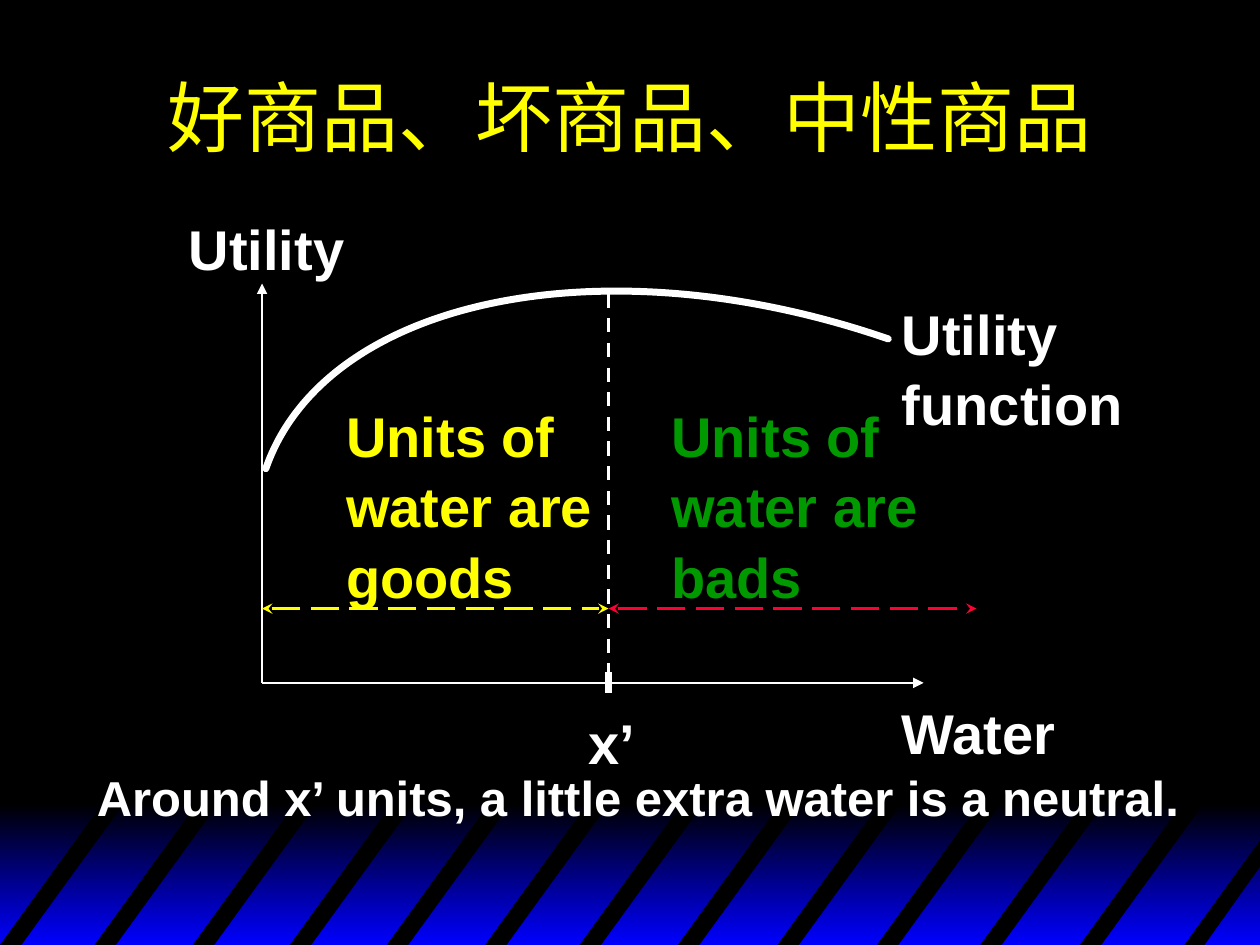
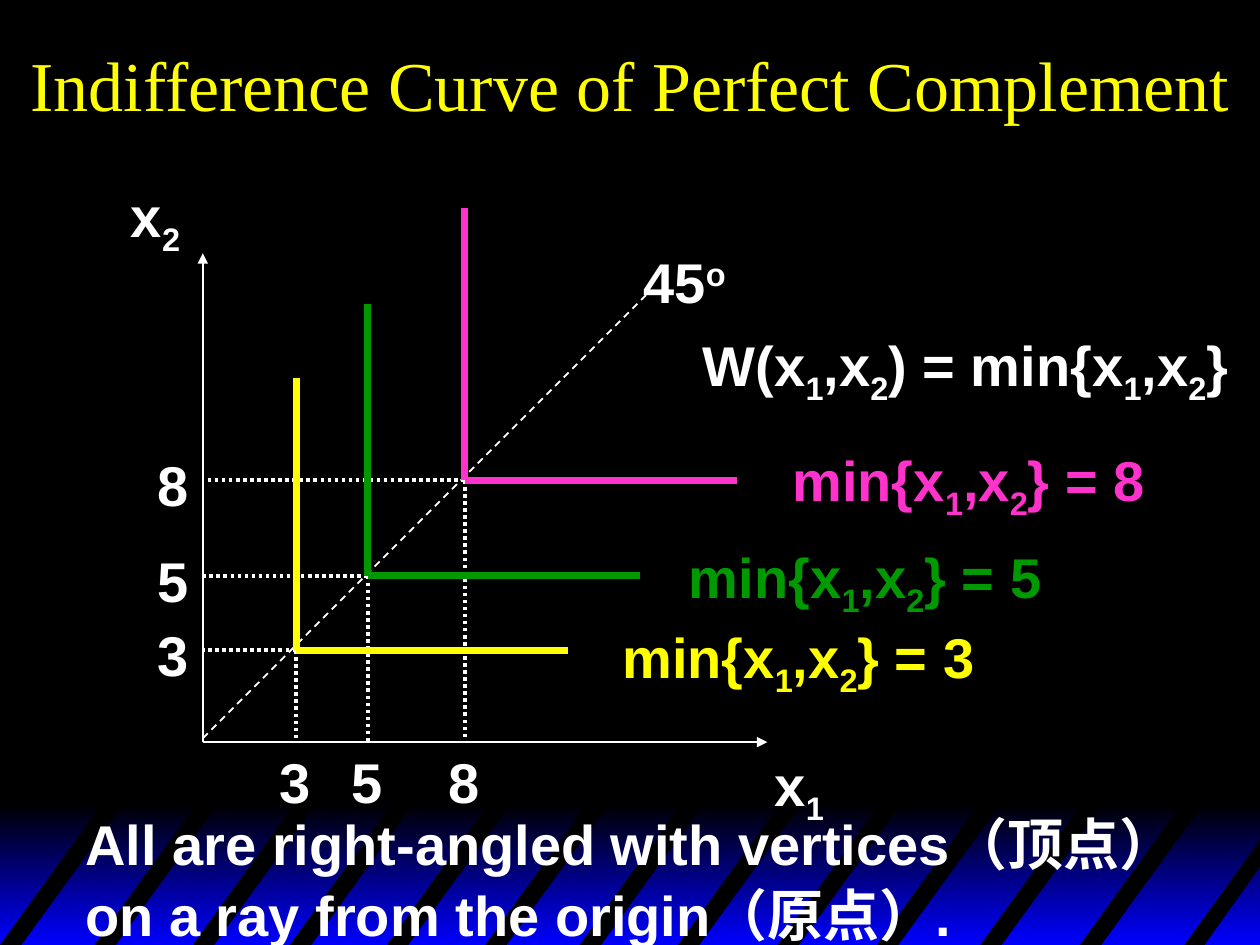
from lxml import etree
from pptx import Presentation
from pptx.dml.color import RGBColor
from pptx.enum.dml import MSO_LINE
from pptx.enum.shapes import MSO_CONNECTOR, MSO_SHAPE
from pptx.enum.text import MSO_ANCHOR, MSO_AUTO_SIZE, PP_ALIGN
from pptx.oxml.ns import qn
from pptx.util import Inches, Pt

BLACK = RGBColor(0x00, 0x00, 0x00)
BLUE = RGBColor(0x00, 0x00, 0xFF)
WHITE = RGBColor(0xFF, 0xFF, 0xFF)
YELLOW = RGBColor(0xFF, 0xFF, 0x00)
GREEN = RGBColor(0x00, 0x99, 0x00)
RED = RGBColor(0xFF, 0x00, 0x33)
PINK = RGBColor(0xFF, 0x33, 0xCC)
DASH, LONG, DOT = MSO_LINE.DASH, MSO_LINE.LONG_DASH, MSO_LINE.ROUND_DOT
STRAIGHT, RECT = MSO_CONNECTOR.STRAIGHT, MSO_SHAPE.RECTANGLE
MIDDLE, CENTER = MSO_ANCHOR.MIDDLE, PP_ALIGN.CENTER
FIT, FIXED = MSO_AUTO_SIZE.SHAPE_TO_FIT_TEXT, MSO_AUTO_SIZE.NONE
SUB, SUP = -25000, 30000

# Striped band at the foot of every slide
BAND_TOP, FOOT = 6.34, 7.5
STRIPES = [0, 0.75, 1.53, 2.3, 3.07, 3.85, 4.6, 5.38, 6.17, 6.96, 7.78, 8.57]
LEAN, THICK = 0.84, 0.17
CORNER = [(9.4, FOOT), (10, 6.67), (10, 6.88), (9.56, FOOT)]

# Slide 1: labels are (runs, left, top, width, height, colour)
GOODS_TITLE = "好商品、坏商品、中性商品"
GOODS_TEXT = [
    ("Utility", 1.4, 1.63, 1.44, 0.63, WHITE),
    ("Water", 7.06, 5.47, 1.44, 0.63, WHITE),
    ("x’", 4.57, 5.55, 0.57, 0.63, WHITE),
    ("Units of\nwater are\ngoods", 2.65, 3.11, 2.16, 1.7, YELLOW),
    ("Units of\nwater are\nbads", 5.23, 3.11, 2.16, 1.7, GREEN),
    ("Utility\nfunction", 7.06, 2.3, 1.96, 1.17, WHITE),
]
GOODS_NOTE = "Around x’ units, a little extra water is a neutral."
CURVE = [(2.11, 3.72), (2.58, 2.37), (4.79, 1.91), (7.05, 2.69)]
PEAK = 4.83

# Slide 2: each level is (value, x, y, colour, label left, label top)
MIN_TITLE = "Indifference Curve of Perfect Complement"
LEVELS = [
    ("8", 3.69, 3.81, PINK, 6.19, 3.46),
    ("5", 2.92, 4.57, GREEN, 5.37, 4.23),
    ("3", 2.35, 5.16, YELLOW, 4.84, 4.86),
]
ARM = 2.16
PAIR = [("1", SUB), (",x", 0), ("2", SUB)]
MIN_TEXT = [
    ([("x", 0), ("2", SUB)], 0.94, 1.36, 0.59, 0.71, WHITE),
    ([("x", 0), ("1", SUB)], 6.05, 5.88, 0.59, 0.71, WHITE),
    ([("45", 0), ("o", SUP)], 5.01, 1.89, 0.85, 0.63, WHITE),
    ([("W(x", 0), *PAIR, (") = min{x", 0), *PAIR, ("}", 0)],
     5.48, 2.54, 4.37, 0.71, WHITE),
]
MIN_NOTE = "All are right-angled with vertices（顶点） on a ray from the origin（原点）."


def style(font, size, color, name="Arial", bold=True):
    font.name, font.size, font.bold = name, Pt(size), bold
    font.color.rgb = color


def label(slide, runs, x, y, w, h, color, size=32, wrap=False):
    box = slide.shapes.add_textbox(Inches(x), Inches(y), Inches(w), Inches(h))
    frame = box.text_frame
    frame.word_wrap, frame.auto_size = wrap, FIT
    para = frame.paragraphs[0]
    para.line_spacing = 1.05
    for text, base in [(runs, 0)] if isinstance(runs, str) else runs:
        for i, part in enumerate(text.split("\n")):
            if i:
                para.add_line_break()
            run = para.add_run()
            run.text = part
            style(run.font, size, color)
            if base:
                run._r.get_or_add_rPr().set("baseline", str(base))


def line(slide, x1, y1, x2, y2, color=WHITE, width=1, dash=None, head=None, tail=None):
    link = slide.shapes.add_connector(
        STRAIGHT, Inches(x1), Inches(y1), Inches(x2), Inches(y2))
    link.line.color.rgb, link.line.width = color, Pt(width)
    if dash:
        link.line.dash_style = dash
    for tag, kind in (("a:headEnd", head), ("a:tailEnd", tail)):
        if kind:
            etree.SubElement(link.line._get_or_add_ln(), qn(tag), type=kind)
    etree.SubElement(link._element.spPr, qn("a:effectLst"))


def axes(slide, x, top, base, right):
    line(slide, x, top, x, base, head="triangle")
    line(slide, x, base, right, base, tail="triangle")


def outline(shapes, points, close):
    spots = [(Inches(x), Inches(y)) for x, y in points]
    pen = shapes.build_freeform(*spots[0])
    pen.add_line_segments(spots[1:], close=close)
    shape = pen.convert_to_shape()
    shape.shadow.inherit = False
    return shape


def add_band(slide, layout):
    group = slide.shapes.add_group_shape()
    back = group.shapes.add_shape(
        RECT, 0, Inches(6.38), Inches(10), Inches(FOOT - 6.38))
    back.shadow.inherit = False
    back.line.fill.background()
    back.fill.gradient()
    back.fill.gradient_angle = 270
    for stop, color, place in zip(back.fill.gradient_stops, (BLACK, BLUE), (0, 1)):
        stop.color.rgb, stop.position = color, place
    bars = [[(x, FOOT), (x + LEAN, BAND_TOP), (x + LEAN + THICK, BAND_TOP),
             (x + THICK, FOOT)] for x in STRIPES]
    for points in bars + [CORNER]:
        bar = outline(group.shapes, points, True)
        bar.fill.solid()
        bar.fill.fore_color.rgb = BLACK
        bar.line.fill.background()
    # The layout holds the band, behind its placeholders
    layout.shapes.element.insert(2, group._element)


def add_title(slide, text, x, y, w, h, size):
    title = slide.shapes.title
    title.left, title.top = Inches(x), Inches(y)
    title.width, title.height = Inches(w), Inches(h)
    frame = title.text_frame
    frame.vertical_anchor, frame.auto_size = MIDDLE, FIXED
    para = frame.paragraphs[0]
    para.alignment = CENTER
    run = para.add_run()
    run.text = text
    style(run.font, size, YELLOW, "Times New Roman", False)


def add_curve(slide):
    curve = outline(slide.shapes, CURVE, False)
    curve.fill.background()
    curve.line.color.rgb, curve.line.width = WHITE, Pt(4)
    curve.line._get_or_add_ln().set("cap", "rnd")
    # Join the three straight legs into one Bezier segment
    track = next(curve._element.iter(qn("a:path")))
    legs = track.findall(qn("a:lnTo"))
    bend = etree.SubElement(track, qn("a:cubicBezTo"))
    for leg in legs:
        bend.append(leg[0])
        track.remove(leg)


def goods_slide(slide):
    add_title(slide, GOODS_TITLE, 0.75, 0.25, 8.5, 1.33, 44)
    axes(slide, 2.08, 2.25, 5.42, 7.33)
    add_curve(slide)
    line(slide, PEAK, 2.33, PEAK, 5.42, width=2, dash=DASH)
    line(slide, PEAK, 5.33, PEAK, 5.5, width=4)
    for x1, x2, color in ((2.08, PEAK, YELLOW), (PEAK, 7.75, RED)):
        line(slide, x1, 4.83, x2, 4.83, color, 2, LONG, "stealth", "stealth")
    for item in GOODS_TEXT:
        label(slide, *item)
    label(slide, GOODS_NOTE, 0.67, 6.02, 8.92, 0.57, WHITE, 28, True)


def min_slide(slide):
    left, base = 1.61, 5.89
    add_title(slide, MIN_TITLE, 0, 0, 10, 1.33, 40)
    axes(slide, left, 2.01, base, 6.09)
    line(slide, left, 5.86, 5.13, 2.34, dash=DASH)
    # Guides lie under the right-angled curves
    for _, x, y, *_ in LEVELS:
        line(slide, x, y, left, y, width=2, dash=DOT)
        line(slide, x, y, x, base, width=2, dash=DOT)
    for value, x, y, color, tx, ty in LEVELS:
        line(slide, x, y, x, y - ARM, color, 4)
        line(slide, x + ARM, y, x, y, color, 4)
        runs = [("min{x", 0), *PAIR, ("} = " + value, 0)]
        label(slide, runs, tx, ty, 3, 0.71, color)
        label(slide, value, x - 0.23, 5.86, 0.45, 0.63, WHITE)
        label(slide, value, 1.15, y - 0.31, 0.45, 0.63, WHITE)
    for item in MIN_TEXT:
        label(slide, *item)
    label(slide, MIN_NOTE, 0.58, 6.35, 9.42, 1.17, WHITE, 32, True)


def main():
    deck = Presentation()
    deck.slide_width, deck.slide_height = Inches(10), Inches(7.5)
    layout = deck.slide_layouts[5]
    fill = deck.slide_master.background.fill
    fill.solid()
    fill.fore_color.rgb = BLACK
    goods, mins = (deck.slides.add_slide(layout) for _ in range(2))
    add_band(goods, layout)
    goods_slide(goods)
    min_slide(mins)
    deck.save("out.pptx")


if __name__ == "__main__":
    main()
